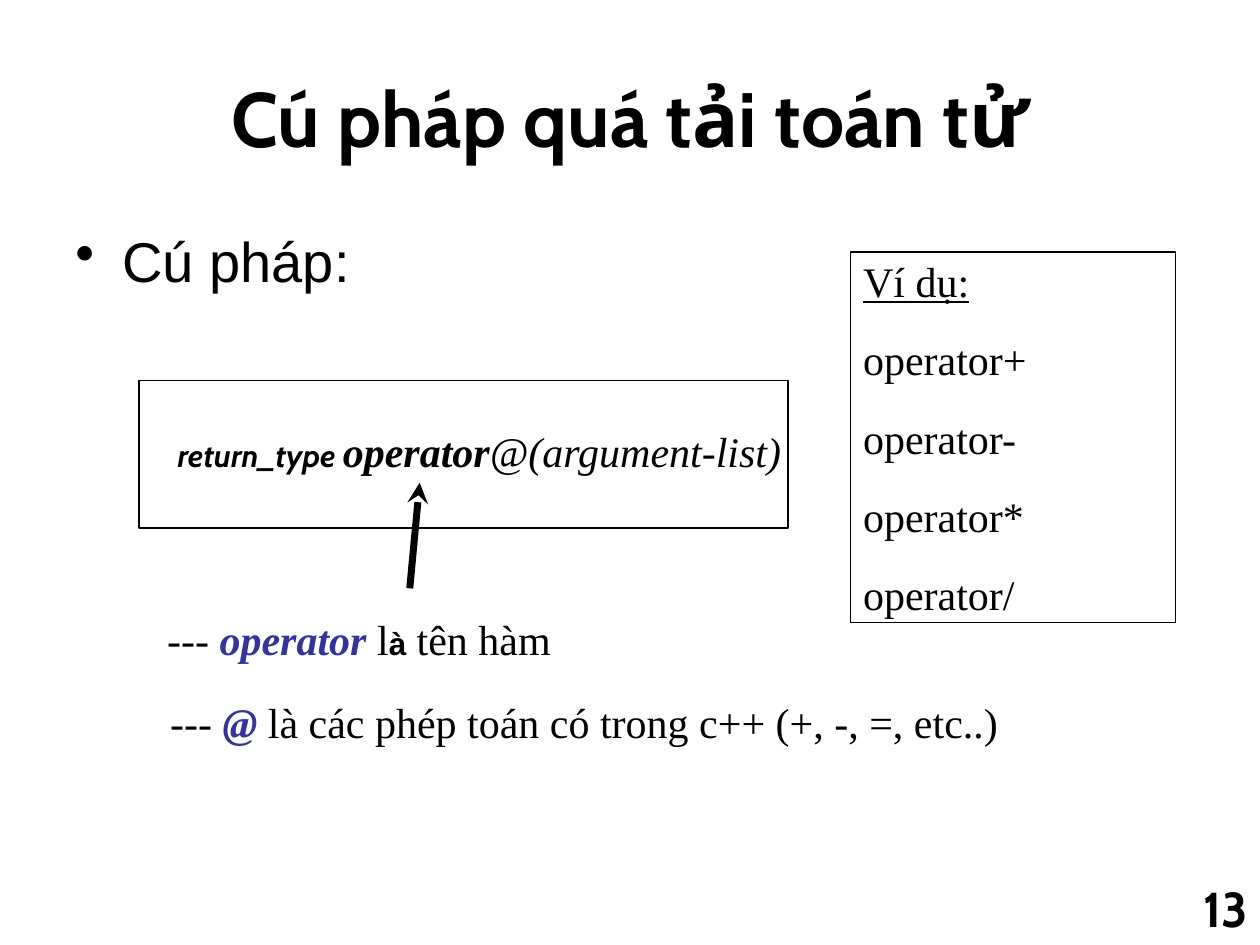
from lxml import etree
from pptx import Presentation
from pptx.dml.color import RGBColor
from pptx.enum.shapes import MSO_CONNECTOR, MSO_SHAPE
from pptx.enum.text import MSO_ANCHOR, PP_ALIGN
from pptx.oxml.ns import qn
from pptx.util import Cm, Pt

RECT = MSO_SHAPE.RECTANGLE
STRAIGHT = MSO_CONNECTOR.STRAIGHT
TOP, MIDDLE = MSO_ANCHOR.TOP, MSO_ANCHOR.MIDDLE
LEFT, CENTER, RIGHT = PP_ALIGN.LEFT, PP_ALIGN.CENTER, PP_ALIGN.RIGHT

HEADING, BODY, SERIF = "Cabin", "Arial", "Times New Roman"
BLACK, INDIGO = "000000", "333399"


def rgb(value):
    return RGBColor.from_string(value)


def add_run(p, text, size=24, font=SERIF, color=BLACK,
            bold=False, italic=False, underline=False):
    r = p.add_run()
    r.text = text
    r.font.size = Pt(size)
    r.font.name = font
    r.font.color.rgb = rgb(color)
    r.font.bold = bold
    r.font.italic = italic
    r.font.underline = underline


def place(sp, x, y, w, h):
    sp.left, sp.top, sp.width, sp.height = Cm(x), Cm(y), Cm(w), Cm(h)


def add_text(s, x, y, w, h, align=LEFT, wrap=True):
    """Add an empty text box and return its first paragraph."""
    tf = s.shapes.add_textbox(Cm(x), Cm(y), Cm(w), Cm(h)).text_frame
    tf.word_wrap = wrap
    tf.vertical_anchor = TOP
    p = tf.paragraphs[0]
    p.alignment = align
    return p


def add_frame(s, x, y, w, h, line_width):
    sp = s.shapes.add_shape(RECT, Cm(x), Cm(y), Cm(w), Cm(h))
    sp.shadow.inherit = False
    sp.fill.background()
    sp.line.color.rgb = rgb(BLACK)
    sp.line.width = Pt(line_width)
    return sp


def add_arrow(s, x1, y1, x2, y2, line_width):
    c = s.shapes.add_connector(STRAIGHT, Cm(x1), Cm(y1), Cm(x2), Cm(y2))
    c.line.color.rgb = rgb(BLACK)
    c.line.width = Pt(line_width)
    etree.SubElement(c.line._get_or_add_ln(), qn("a:tailEnd"), type="stealth")
    etree.SubElement(c._element.spPr, qn("a:effectLst"))


def add_bullet(p, indent):
    pPr = p._p.get_or_add_pPr()
    pPr.set("marL", str(Cm(indent)))
    pPr.set("indent", str(-Cm(indent)))
    etree.SubElement(pPr, qn("a:buChar"), char="•")


def add_title(s, text):
    title = s.shapes.title
    place(title, 1.27, 0.76, 22.86, 3.18)
    title.text_frame.vertical_anchor = MIDDLE
    p = title.text_frame.paragraphs[0]
    p.alignment = CENTER
    add_run(p, text, 44, HEADING, bold=True)


def add_examples(s, heading, operators):
    sp = add_frame(s, 17.15, 5.08, 6.55, 7.47, 0.75)
    tf = sp.text_frame
    tf.word_wrap = True
    tf.vertical_anchor = MIDDLE
    p = tf.paragraphs[0]
    p.alignment = LEFT
    add_run(p, heading, underline=True)
    for operator in operators:
        p = tf.add_paragraph()
        p.alignment = LEFT
        p.space_before = Pt(16)
        add_run(p, "operator" + operator)


def main():
    prs = Presentation()
    prs.slide_width, prs.slide_height = Cm(25.4), Cm(19.05)
    s = prs.slides.add_slide(prs.slide_layouts[5])

    add_title(s, "Cú pháp quá tải toán tử")

    # Bulleted lead-in
    p = add_text(s, 1.27, 4.45, 15, 1.7)
    add_bullet(p, 0.95)
    add_run(p, "Cú pháp:", 32, BODY)

    # Framed syntax
    p = add_text(s, 3.33, 8.46, 13.03, 1.27, wrap=False)
    add_run(p, "return_type ", 18, HEADING, bold=True, italic=True)
    add_run(p, "operator", bold=True, italic=True)
    add_run(p, "@(argument-list)", italic=True)
    add_frame(s, 2.8, 7.67, 13.08, 2.97, 1)

    # Explanations, with an arrow up to the function name
    p = add_text(s, 3.12, 12.24, 8.26, 1.27, wrap=False)
    add_run(p, "--- ")
    add_run(p, "operator", color=INDIGO, bold=True, italic=True)
    add_run(p, " l")
    add_run(p, "à", 18, BODY, bold=True)
    add_run(p, " tên hàm")
    add_arrow(s, 8.26, 11.86, 8.46, 9.73, 4)

    p = add_text(s, 3.18, 13.92, 17.22, 1.27, wrap=False)
    add_run(p, "--- ")
    add_run(p, "@", color=INDIGO, bold=True, italic=True)
    add_run(p, " là các phép toán có trong c++ (+, -, =, etc..)")

    add_examples(s, "Ví dụ:", "+-*/")

    # Slide number
    p = add_text(s, 23.06, 17.58, 2.34, 1.6, RIGHT)
    add_run(p, "13", 28, HEADING, bold=True)

    prs.save("out.pptx")


if __name__ == "__main__":
    main()
